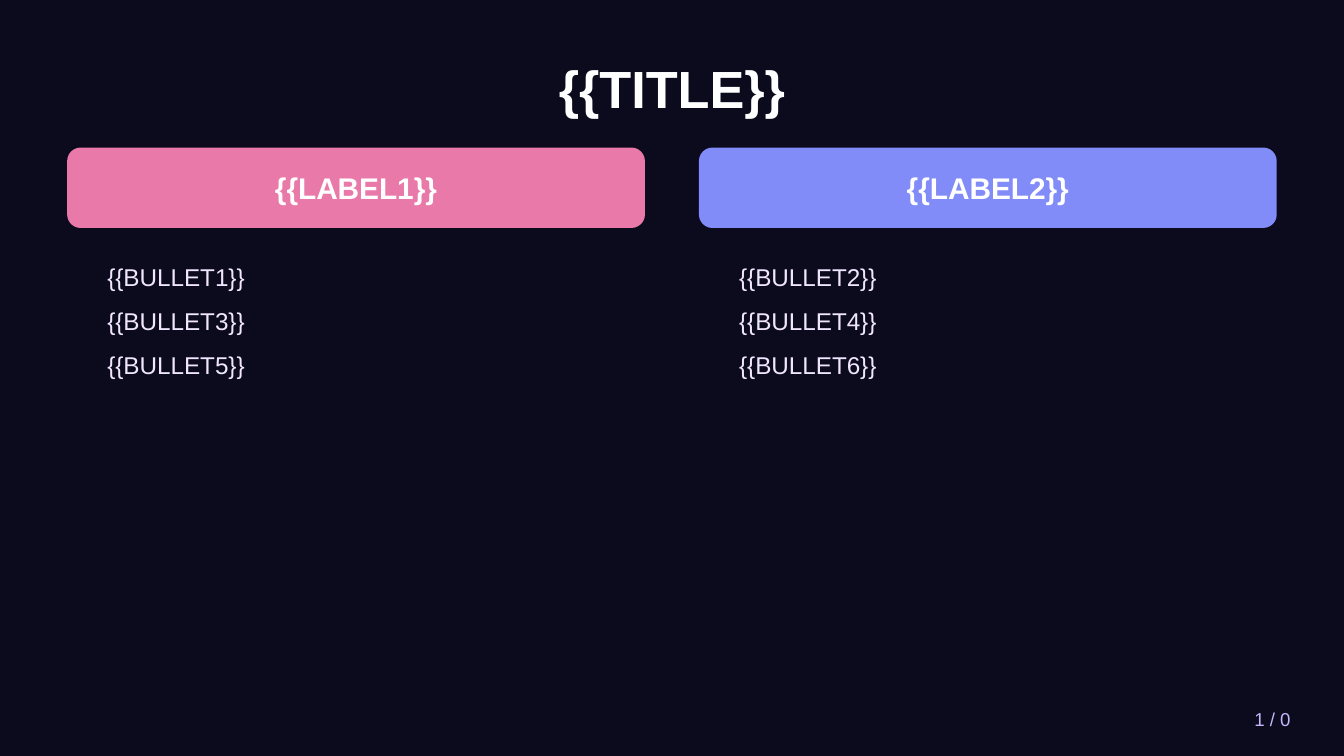
from pptx import Presentation
from pptx import util as u
from pptx.dml import color
from pptx.enum import shapes, text


def rgb(value):
    return color.RGBColor.from_string(value)


class SlideBuilder:
    font = "Arial"
    white = "FFFFFF"
    background = "0C0A1D"
    body = "F0E6FF"
    muted = "C4B5FD"

    def __init__(self, deck):
        self.slide = deck.slides.add_slide(deck.slide_layouts[6])
        fill = self.slide.background.fill
        fill.solid()
        fill.fore_color.rgb = rgb(self.background)

    def panel(self, left, top, width, height, fill):
        shape = self.slide.shapes.add_shape(
            shapes.MSO_SHAPE.ROUNDED_RECTANGLE,
            u.Cm(left), u.Cm(top), u.Cm(width), u.Cm(height))
        shape.shadow.inherit = False
        shape.fill.solid()
        shape.fill.fore_color.rgb = rgb(fill)
        shape.line.fill.background()

    def text(self, left, top, width, height, lines, size, ink, bold=False,
             align=text.PP_ALIGN.LEFT, anchor=text.MSO_ANCHOR.MIDDLE, after=0):
        box = self.slide.shapes.add_textbox(
            u.Cm(left), u.Cm(top), u.Cm(width), u.Cm(height))
        frame = box.text_frame
        frame.word_wrap = True
        frame.vertical_anchor = anchor
        frame.text = "\n".join(lines)
        for paragraph in frame.paragraphs:
            paragraph.alignment = align
            paragraph.space_after = u.Pt(after)
            for span in paragraph.runs:
                span.font.name = self.font
                span.font.size = u.Pt(size)
                span.font.bold = bold
                span.font.color.rgb = rgb(ink)

    def column(self, left, label, fill, bullets):
        header = (left, 2.79, 10.92, 1.52)
        self.panel(*header, fill)
        self.text(*header, [label], 16, self.white, bold=True,
                  align=text.PP_ALIGN.CENTER)
        self.text(left + 0.51, 4.83, 9.91, 7.11, bullets, 13, self.body,
                  anchor=text.MSO_ANCHOR.TOP, after=8)


def main():
    deck = Presentation()
    deck.slide_width = u.Cm(25.4)
    deck.slide_height = u.Cm(14.29)

    page = SlideBuilder(deck)
    page.text(1.27, 0.76, 22.86, 1.78, ["{{TITLE}}"], 28, page.white,
              bold=True, align=text.PP_ALIGN.CENTER)
    for index, fill in enumerate(["E879A9", "818CF8"]):
        bullets = [f"{{{{BULLET{number}}}}}" for number in range(index + 1, 7, 2)]
        page.column(1.27 + index * 11.94, f"{{{{LABEL{index + 1}}}}}", fill, bullets)
    page.text(21.59, 13.21, 3.05, 0.76, ["1 / 0"], 10, page.muted,
              align=text.PP_ALIGN.RIGHT)

    deck.save("out.pptx")


if __name__ == "__main__":
    main()
